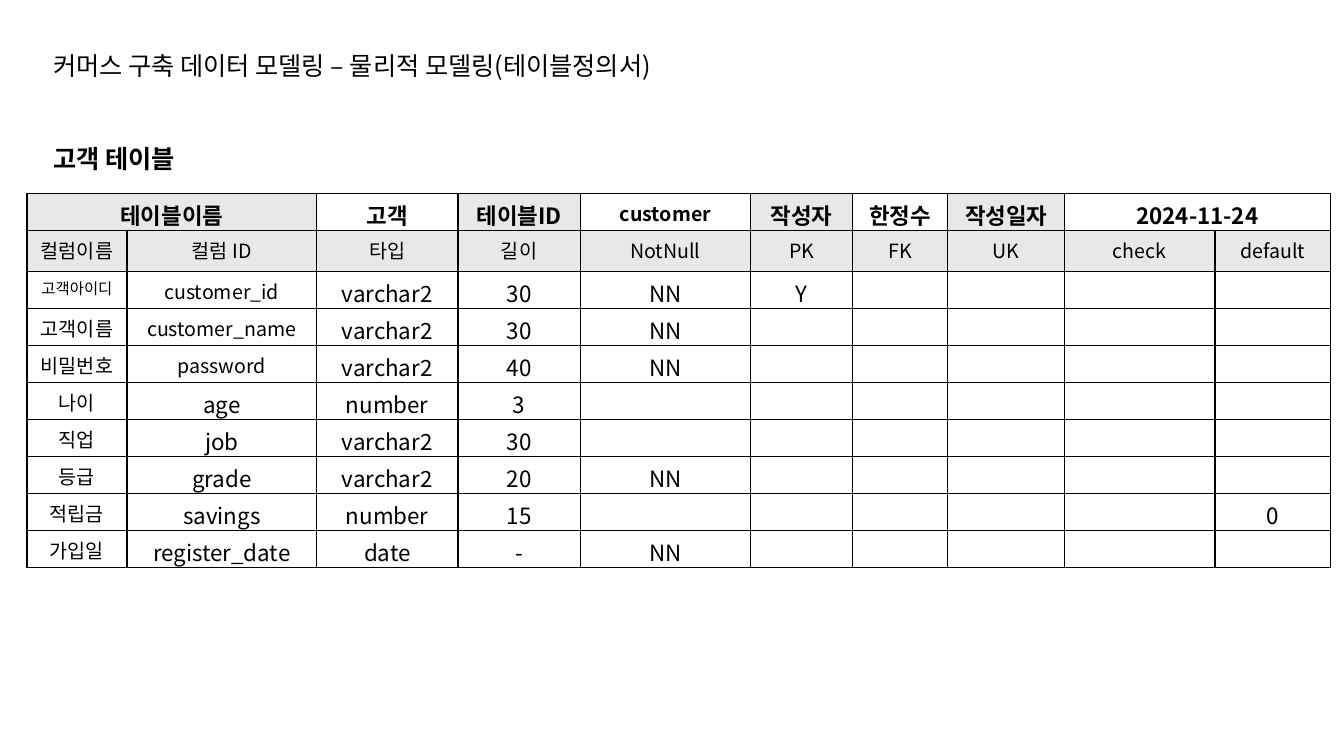
from dataclasses import dataclass

from lxml import etree
from pptx import Presentation
from pptx.dml.color import RGBColor
from pptx.enum.text import MSO_AUTO_SIZE, PP_ALIGN
from pptx.oxml.ns import qn
from pptx.util import Cm, Pt

CENTER = PP_ALIGN.CENTER
FIT_SHAPE = MSO_AUTO_SIZE.SHAPE_TO_FIT_TEXT


@dataclass(frozen=True)
class Theme:
    """Colours, font and type sizes of the slide."""
    font: str = "Noto Sans CJK KR"
    ink: str = "000000"
    shade: str = "E8E8E8"
    heading: int = 18
    body: int = 16
    label: int = 14
    small: int = 11
    border: float = 1


THEME = Theme()
COLUMN_WIDTHS = [2.52, 4.78, 3.56, 3.08, 4.3, 2.56, 2.4, 2.95, 3.79, 2.9]
ROW_HEIGHT, LABEL_ROW_HEIGHT = 0.93, 1.04
DEFINITION = ["테이블이름", "", "고객", "테이블ID", "customer", "작성자", "한정수",
              "작성일자", "2024-11-24", ""]
LABELS = ["컬럼이름", "컬럼 ID", "타입", "길이", "NotNull", "PK", "FK", "UK",
          "check", "default"]
FIELDS = [
    ["고객아이디", "customer_id", "varchar2", "30", "NN", "Y", "", "", "", ""],
    ["고객이름", "customer_name", "varchar2", "30", "NN", "", "", "", "", ""],
    ["비밀번호", "password", "varchar2", "40", "NN", "", "", "", "", ""],
    ["나이", "age", "number", "3", "", "", "", "", "", ""],
    ["직업", "job", "varchar2", "30", "", "", "", "", "", ""],
    ["등급", "grade", "varchar2", "20", "NN", "", "", "", "", ""],
    ["적립금", "savings", "number", "15", "", "", "", "", "", "0"],
    ["가입일", "register_date", "date", "-", "NN", "", "", "", "", ""],
]
MERGED_STARTS = (0, 8)
SHADED_DEFINITIONS = (0, 1, 3, 5, 7)
SPECIAL_SIZES = {"고객아이디": THEME.small, "customer": THEME.label,
                 "customer_id": THEME.label, "customer_name": THEME.label,
                 "password": THEME.label}


def style_paragraph(paragraph, size, bold):
    """Set the theme font on a paragraph for Latin and Korean text."""
    font = paragraph.font
    font.size, font.bold, font.name = Pt(size), bold, THEME.font
    font.color.rgb = RGBColor.from_string(THEME.ink)
    korean = etree.SubElement(paragraph._p.pPr.find(qn("a:defRPr")), qn("a:ea"))
    korean.set("typeface", THEME.font)


def add_heading(slide, text, left, top, width, height, bold):
    """Place a one-line heading in the given box."""
    frame = slide.shapes.add_textbox(left, top, width, height).text_frame
    frame.word_wrap = False
    frame.auto_size = FIT_SHAPE
    frame.text = text
    style_paragraph(frame.paragraphs[0], THEME.heading, bold)


def add_borders(cell):
    """Draw a thin line on all four sides of a cell."""
    properties = cell._tc.get_or_add_tcPr()
    for position, side in enumerate(("lnL", "lnR", "lnT", "lnB")):
        line = etree.Element(qn(f"a:{side}"), w=str(Pt(THEME.border)))
        fill = etree.SubElement(line, qn("a:solidFill"))
        etree.SubElement(fill, qn("a:srgbClr"), val=THEME.ink)
        properties.insert(position, line)


def text_size(text, row, column):
    """Return the type size for a cell of the definition table."""
    is_label = row == 1 or (row > 1 and column == 0)
    return SPECIAL_SIZES.get(text, THEME.label if is_label else THEME.body)


def fill_cell(cell, text, row, column):
    """Write and format one cell of the definition table."""
    cell.margin_bottom = 0
    cell.text = text
    paragraph = cell.text_frame.paragraphs[0]
    paragraph.alignment = CENTER
    style_paragraph(paragraph, text_size(text, row, column), row == 0)
    if row == 1 or (row == 0 and column in SHADED_DEFINITIONS):
        cell.fill.solid()
        cell.fill.fore_color.rgb = RGBColor.from_string(THEME.shade)
    else:
        cell.fill.background()
    add_borders(cell)


def add_definition_table(slide, left, top, width, height):
    """Place the table definition sheet in the given box."""
    rows = [DEFINITION, LABELS, *FIELDS]
    table = slide.shapes.add_table(
        len(rows), len(LABELS), left, top, width, height).table
    table.first_row = table.horz_banding = False
    for column, column_width in zip(table.columns, COLUMN_WIDTHS):
        column.width = Cm(column_width)
    for start in MERGED_STARTS:
        table.cell(0, start).merge(table.cell(0, start + 1))
    for row, texts in enumerate(rows):
        table.rows[row].height = Cm(LABEL_ROW_HEIGHT if row == 1 else ROW_HEIGHT)
        for column, text in enumerate(texts):
            fill_cell(table.cell(row, column), text, row, column)


def main():
    """Build and save the slide."""
    presentation = Presentation()
    presentation.slide_width, presentation.slide_height = Cm(33.87), Cm(19.05)
    slide = presentation.slides.add_slide(presentation.slide_layouts[6])
    add_heading(slide, "커머스 구축 데이터 모델링 – 물리적 모델링(테이블정의서)",
                Cm(1.09), Cm(1.14), Cm(17.35), Cm(1.03), False)
    add_definition_table(slide, Cm(0.68), Cm(4.88), Cm(sum(COLUMN_WIDTHS)),
                         Cm(ROW_HEIGHT * (1 + len(FIELDS)) + LABEL_ROW_HEIGHT))
    add_heading(slide, "고객 테이블", Cm(1.09), Cm(3.48), Cm(3.94), Cm(1.03), True)
    presentation.save("out.pptx")


if __name__ == "__main__":
    main()
